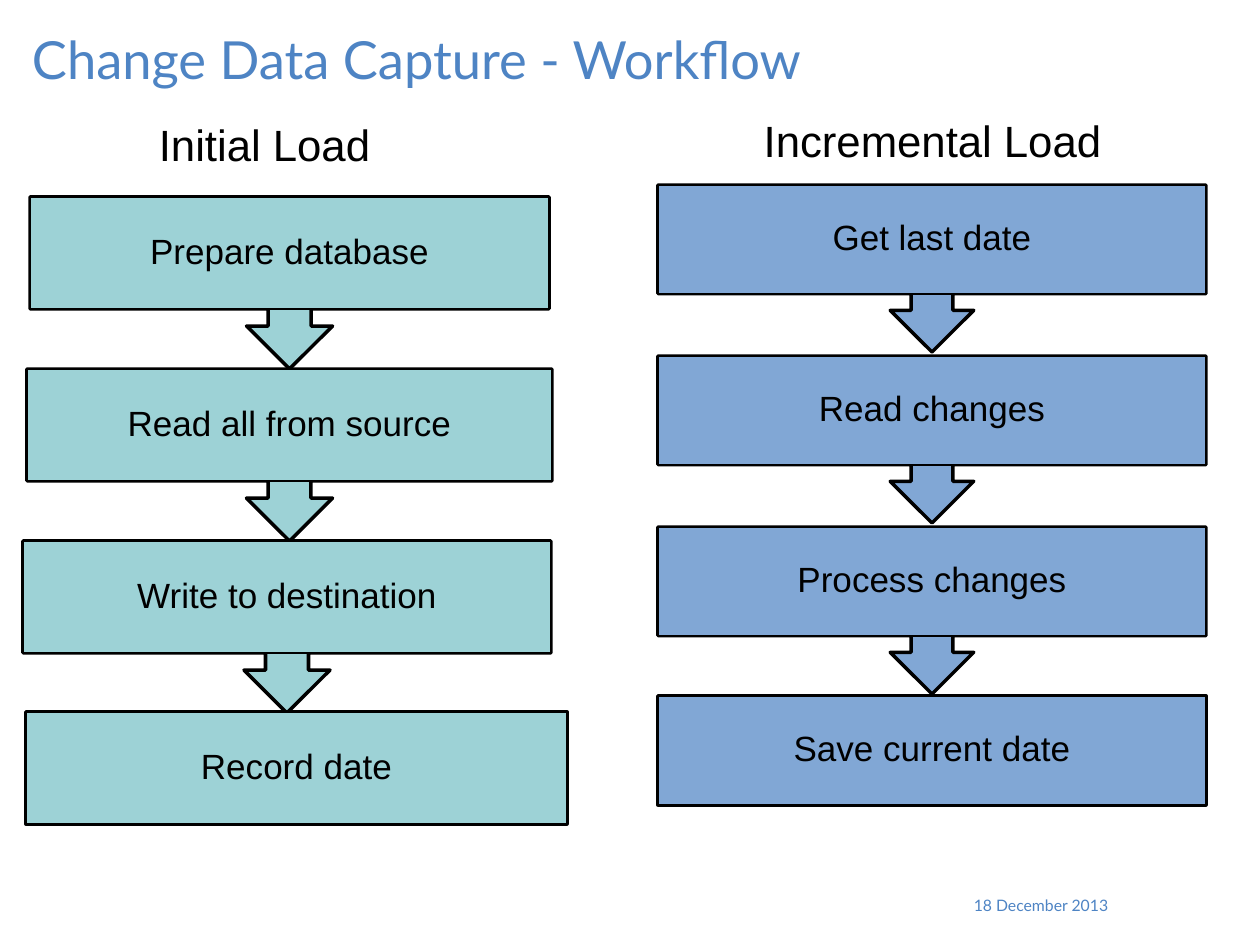
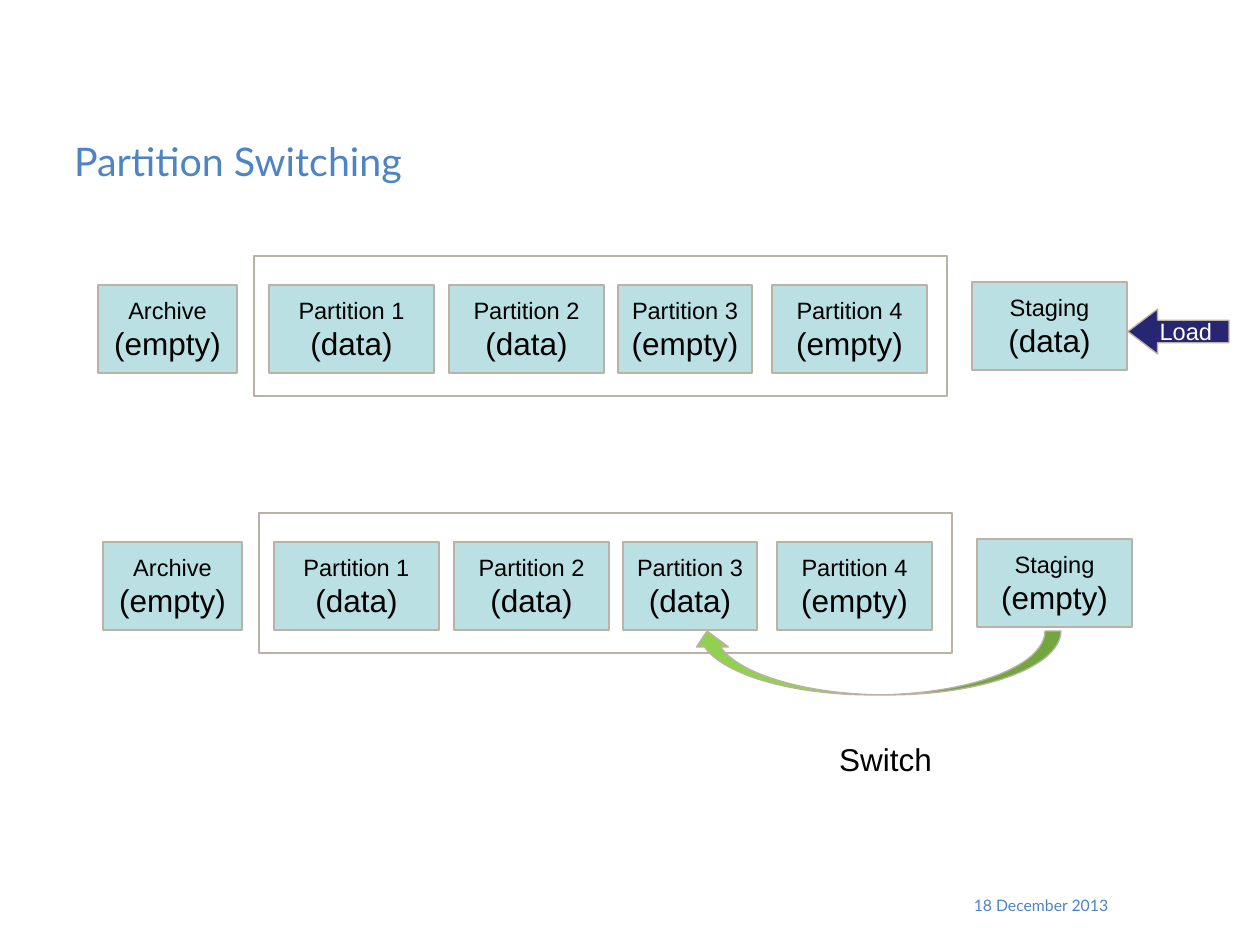
from pptx import Presentation
from pptx import util as u
from pptx.dml.color import RGBColor
from pptx.enum import shapes, text

PX = u.Inches(1) // 126
BLUE = RGBColor(0x4E, 0x84, 0xC4)
TEAL = RGBColor(0x9D, 0xD2, 0xD6)
STEEL = RGBColor(0x81, 0xA7, 0xD5)
PALE = RGBColor(0xBB, 0xE0, 0xE3)
TAUPE = RGBColor(0xBB, 0xB1, 0xA5)
NAVY = RGBColor(0x26, 0x26, 0x72)
GREEN = RGBColor(0x92, 0xD0, 0x50)
BLACK = RGBColor(0, 0, 0)
WHITE = RGBColor(255, 255, 255)

HEAD, BODY = "Lato", "Arial"
KIND = shapes.MSO_SHAPE
ALIGN = text.PP_ALIGN
MID, TOP = text.MSO_ANCHOR.MIDDLE, text.MSO_ANCHOR.TOP

# Column steps: label, left, top, width
INITIAL = [("Prepare database", 30, 197, 519),
           ("Read all from source", 27, 369, 525),
           ("Write to destination", 23, 541, 528),
           ("Record date", 26, 712, 541)]
UPDATE = [("Get last date", 658, 185, 548),
          ("Read changes", 658, 356, 548),
          ("Process changes", 658, 527, 548),
          ("Save current date", 658, 696, 548)]
# Partition cells: label, left, top, width
CELLS = [("Archive", 98, 285, 139), ("Partition 1", 269, 285, 165),
         ("Partition 2", 449, 285, 155), ("Partition 3", 618, 285, 134),
         ("Partition 4", 772, 285, 155), ("Staging", 972, 282, 155)]


def place(x, y, w, h):
    return [v * PX for v in (x, y, w, h)]


def write(frame, lines, color, name=BODY, align=ALIGN.CENTER,
          anchor=TOP, pad=(13, 6)):
    """Fill a frame with (text, size) lines."""
    frame.word_wrap = True
    frame.auto_size = text.MSO_AUTO_SIZE.NONE
    frame.vertical_anchor = anchor
    frame.margin_left = frame.margin_right = pad[0] * PX
    frame.margin_top = frame.margin_bottom = pad[1] * PX
    frame.text = "\n".join(line for line, _ in lines)
    for para, (_, size) in zip(frame.paragraphs, lines):
        para.alignment = align
        para.font.name, para.font.size = name, u.Pt(size)
        para.font.color.rgb = color


def label(slide, line, box, size, **style):
    frame = slide.shapes.add_textbox(*place(*box)).text_frame
    write(frame, [(line, size)], **style)


def shape(tree, kind, box, fill, edge=TAUPE, width=0.75):
    item = tree.add_shape(kind, *place(*box))
    item.shadow.inherit = False
    item.fill.solid()
    item.fill.fore_color.rgb = fill
    item.line.color.rgb = edge
    item.line.width = u.Pt(width)
    return item


def page(deck, title, box, size, anchor):
    """Add a slide with its title and the shared date."""
    slide = deck.slides.add_slide(deck.slide_layouts[5])
    head = slide.shapes.title
    head.left, head.top, head.width, head.height = place(*box)
    write(head.text_frame, [(title, size)], BLUE, HEAD, ALIGN.LEFT, anchor)
    label(slide, "18 December 2013", (926, 890, 195, 44), 9,
          color=BLUE, name=HEAD, align=ALIGN.RIGHT)
    return slide


def flow(slide, steps, fill, high, drop):
    """Stack steps; all but the last point down to the next."""
    for step in steps:
        line, x, y, w = step
        tree = slide.shapes.add_group_shape().shapes
        if step is steps[-1]:
            shape(tree, KIND.RECTANGLE, (x, y, w, high), fill, BLACK, 2)
        else:
            back = shape(tree, KIND.UP_ARROW_CALLOUT, (x, y, w, drop),
                         fill, BLACK, 2)
            back.rotation = 180
            back.adjustments[3] = 0.65
        front = shape(tree, KIND.RECTANGLE, (x, y, w, high), fill, BLACK)
        write(front.text_frame, [(line, 20)], BLACK, anchor=MID, pad=(26, 26))
        para = front.text_frame.paragraphs[0]
        para.line_spacing, para.space_after = 0.9, u.Pt(7)


def row(slide, states, dx=0, dy=0):
    """Draw the table frame and its cells with their states."""
    shape(slide.shapes, KIND.RECTANGLE, (254 + dx, 256 + dy, 693, 140), WHITE)
    for (name, x, y, w), state in zip(CELLS, states):
        cell = shape(slide.shapes, KIND.RECTANGLE,
                     (x + dx, y + dy, w, 88), PALE)
        write(cell.text_frame, [(name, 13.5), (f"({state})", 18)],
              BLACK, anchor=MID, pad=(9, 5))


def main():
    deck = Presentation()
    deck.slide_width, deck.slide_height = u.Inches(10), u.Inches(7.5)

    # Workflow: two columns of steps
    slide = page(deck, "Change Data Capture - Workflow",
                 (19, 21, 1111, 84), 30, TOP)
    flow(slide, INITIAL, TEAL, 112, 172)
    label(slide, "Initial Load", (30, 112, 469, 66), 25, color=BLACK)
    flow(slide, UPDATE, STEEL, 109, 167)
    label(slide, "Incremental Load", (698, 108, 469, 66), 25, color=BLACK)

    # Partitions before and after the switch
    slide = page(deck, "Partition Switching", (61, 126, 931, 69), 22.5, MID)
    row(slide, ["empty", "data", "data", "empty", "empty", "data"])
    row(slide, ["empty", "data", "data", "data", "empty", "empty"], 5, 257)

    # Load and switch arrows
    load = shape(slide.shapes, KIND.LEFT_ARROW, (1128, 309, 101, 45), NAVY)
    load.adjustments[1] = 0.66
    write(load.text_frame, [("Load", 13.5)], WHITE, anchor=MID, pad=(9, 5))
    turn = shape(slide.shapes, KIND.CURVED_LEFT_ARROW,
                 (844, 478, 64, 370), GREEN)
    turn.rotation = 90
    label(slide, "Switch", (824, 734, 123, 54), 18, color=BLACK)

    deck.save("out.pptx")


if __name__ == "__main__":
    main()
